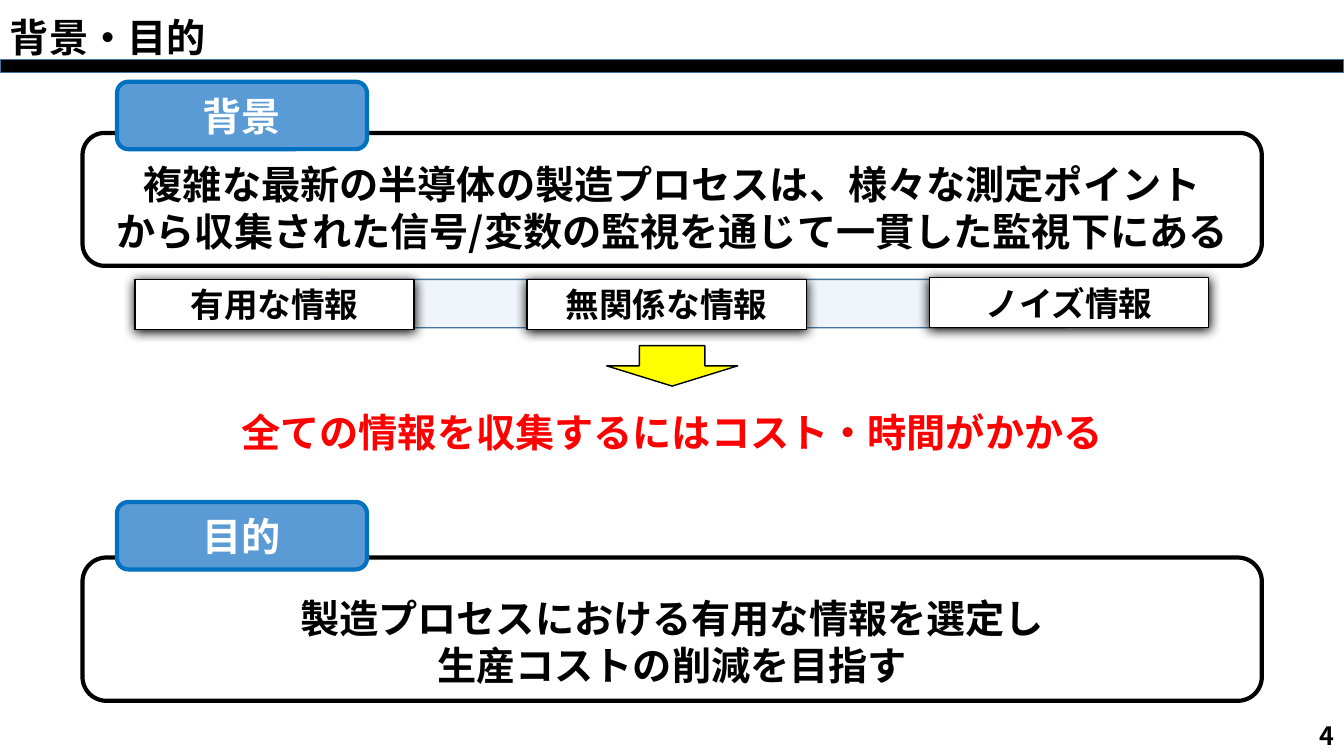
from lxml.etree import SubElement
from pptx import Presentation
from pptx.dml.color import RGBColor
from pptx.enum.shapes import MSO_SHAPE as SHAPE
from pptx.enum.text import MSO_ANCHOR as ANCHOR, PP_ALIGN as ALIGN
from pptx.oxml import parse_xml
from pptx.oxml.ns import nsdecls, qn
from pptx.util import Cm, Pt

FONT = "Noto Sans CJK JP"
SHADOW = (
    f'<a:effectLst {nsdecls("a")}>'
    '<a:outerShdw blurRad="107950" dist="12700" dir="5400000" algn="ctr" rotWithShape="0">'
    '<a:srgbClr val="000000"/></a:outerShdw></a:effectLst>'
)


def add_block(kind, box, fill=None, line=None, weight=1):
    """Add a preset shape, or a text box when kind is None; box is in centimetres."""
    box = [Cm(v) for v in box]
    if kind is None:
        return s.shapes.add_textbox(*box)
    sp = s.shapes.add_shape(kind, *box)
    sp.shadow.inherit = False
    if fill:
        sp.fill.solid()
        sp.fill.fore_color.rgb = RGBColor.from_string(fill)
    else:
        sp.fill.background()
    sp.line.color.rgb = RGBColor.from_string(line)
    sp.line.width = Pt(weight)
    return sp


def write(sp, lines, size=28, color="000000", align=ALIGN.CENTER, anchor=ANCHOR.MIDDLE, wrap=True):
    tf = sp.text_frame
    tf.word_wrap = wrap
    tf.vertical_anchor = anchor
    for i, text in enumerate(lines):
        p = tf.add_paragraph() if i else tf.paragraphs[0]
        p.alignment = align
        r = p.add_run()
        r.text = text
        r.font.size = Pt(size)
        r.font.bold = True
        r.font.name = FONT
        r.font.color.rgb = RGBColor.from_string(color)
        SubElement(r.font._element, qn("a:ea"), typeface=FONT)


prs = Presentation()
prs.slide_width, prs.slide_height = Cm(33.87), Cm(19.05)
s = prs.slides.add_slide(prs.slide_layouts[6])

# Heading
add_block(SHAPE.RECTANGLE, (0, 1.5, 33.87, 0.33), "000000", "43739E")
title = add_block(None, (0, 0, 33.87, 2))
write(title, ["背景・目的"], align=ALIGN.LEFT)
title.text_frame.paragraphs[0].line_spacing = 0.9

# Framed sections with their labels
sections = [
    ("目的", 12.65, 14.05, 3.61,
     ["製造プロセスにおける有用な情報を選定し", "生産コストの削減を目指す"]),
    ("背景", 2.06, 3.35, 3.35,
     ["複雑な最新の半導体の製造プロセスは、様々な測定ポイント",
      "から収集された信号/変数の監視を通じて一貫した監視下にある"]),
]
for label, label_top, frame_top, frame_height, lines in sections:
    frame = add_block(SHAPE.ROUNDED_RECTANGLE, (2.08, frame_top, 29.72, frame_height),
                      line="000000", weight=3)
    write(frame, lines, anchor=ANCHOR.BOTTOM)
    tab = add_block(SHAPE.ROUNDED_RECTANGLE, (2.95, label_top, 6.3, 1.7), "5B9BD5", "0070C0", 3)
    write(tab, [label], color="FFFFFF")

# Kinds of information on a translucent band
band = add_block(SHAPE.ROUNDED_RECTANGLE, (7.9, 7.04, 19.13, 1.22), "DEEBF7", "43739E")
band_color = band._element.spPr.find(qn("a:solidFill"))[0]
SubElement(band_color, qn("a:alpha"), val="48000")
for text, left, top in [("有用な情報", 3.4, 7.04), ("無関係な情報", 13.28, 7.04), ("ノイズ情報", 23.42, 6.99)]:
    card = add_block(SHAPE.RECTANGLE, (left, top, 7.04, 1.27), "FFFFFF", "000000")
    spPr = card._element.spPr
    spPr.replace(spPr.find(qn("a:effectLst")), parse_xml(SHADOW))
    write(card, [text], size=24)

# Consequence
add_block(SHAPE.DOWN_ARROW, (15.29, 8.71, 3.3, 1.02), "FFFF00", "000000")
problem = add_block(None, (5.71, 10.16, 22.45, 1.45))
write(problem, ["全ての情報を収集するにはコスト・時間がかかる"], color="FF0000", wrap=False)

page = add_block(None, (26.25, 18.03, 7.62, 1.02))
write(page, ["4"], size=18, align=ALIGN.RIGHT)

prs.save("out.pptx")
